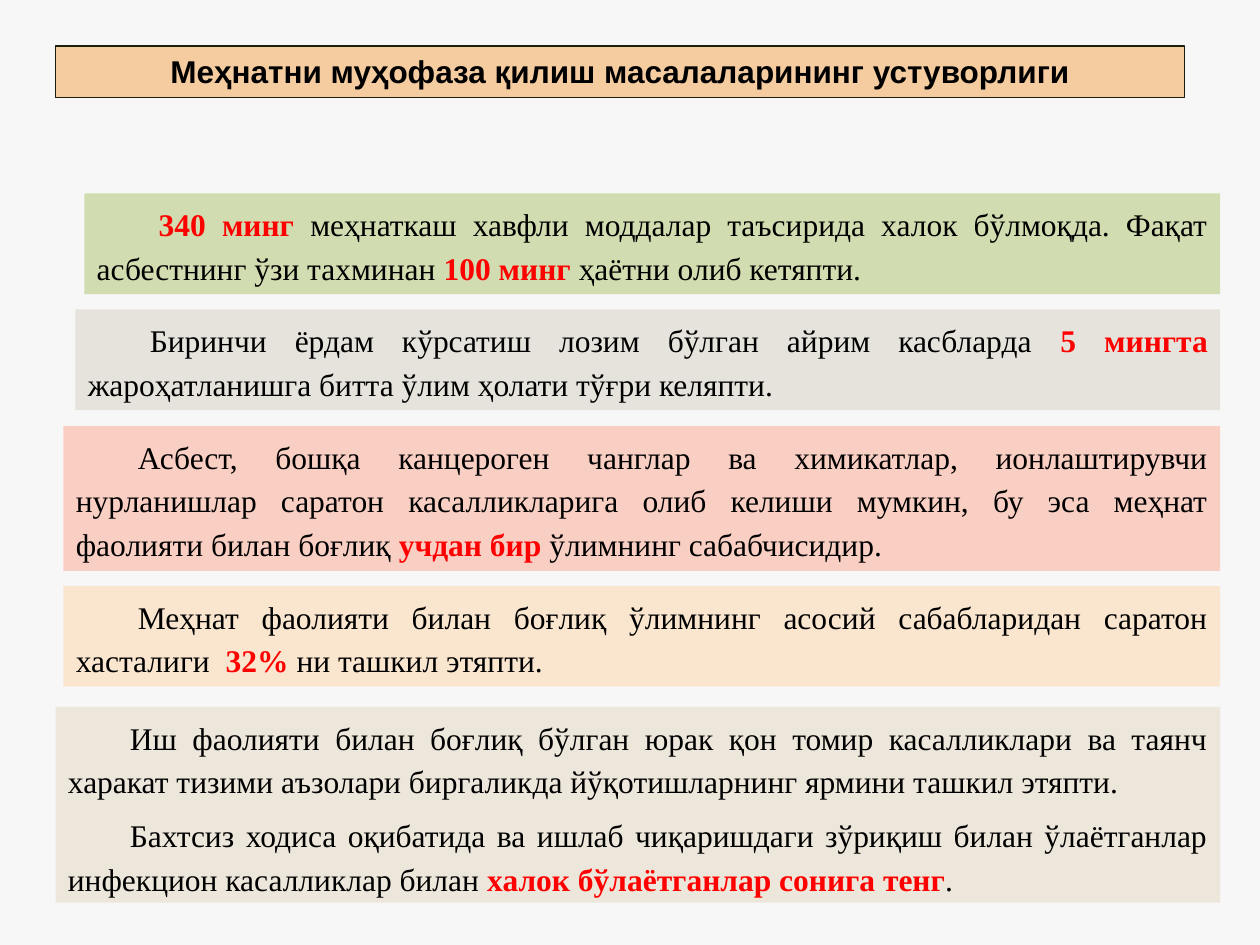
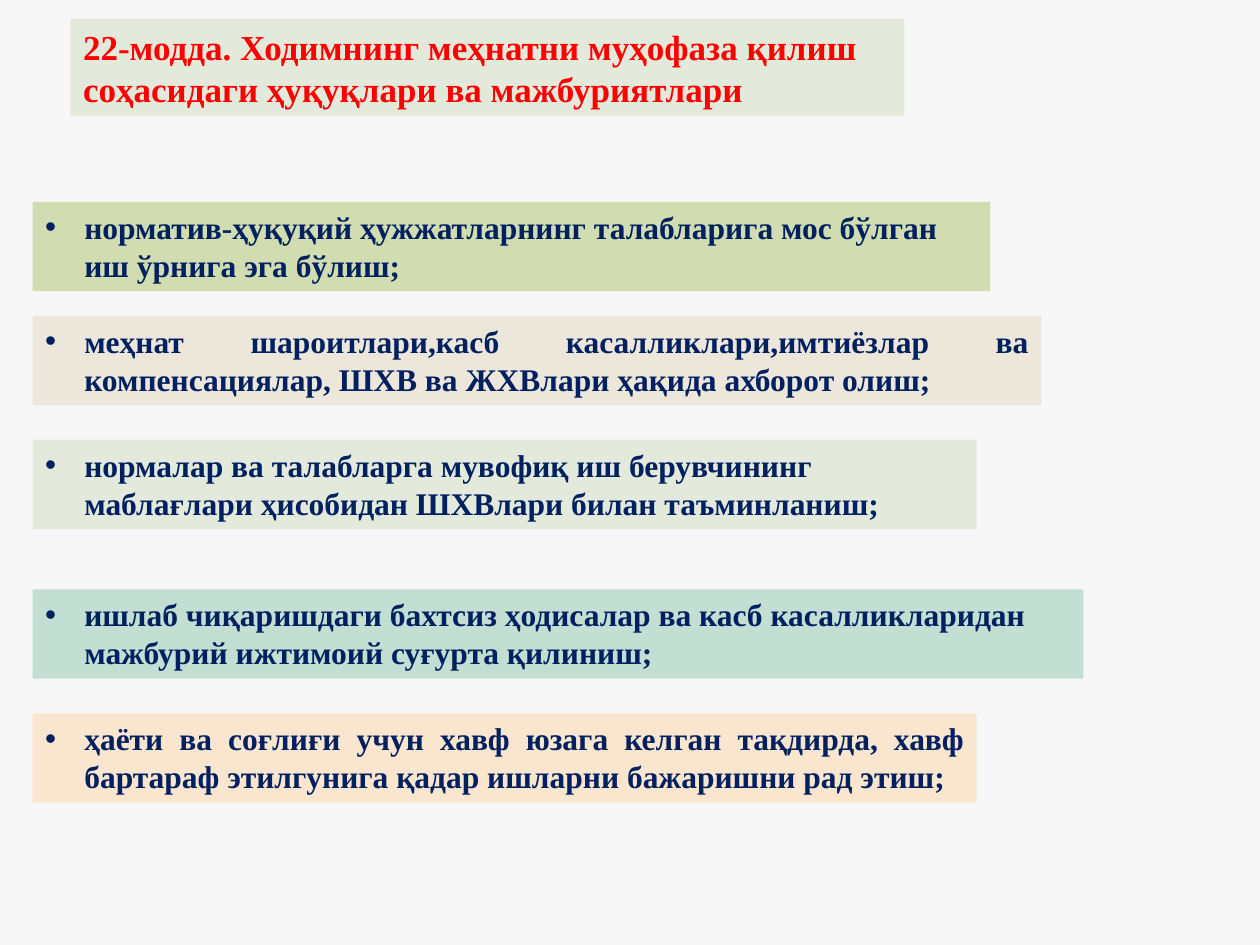
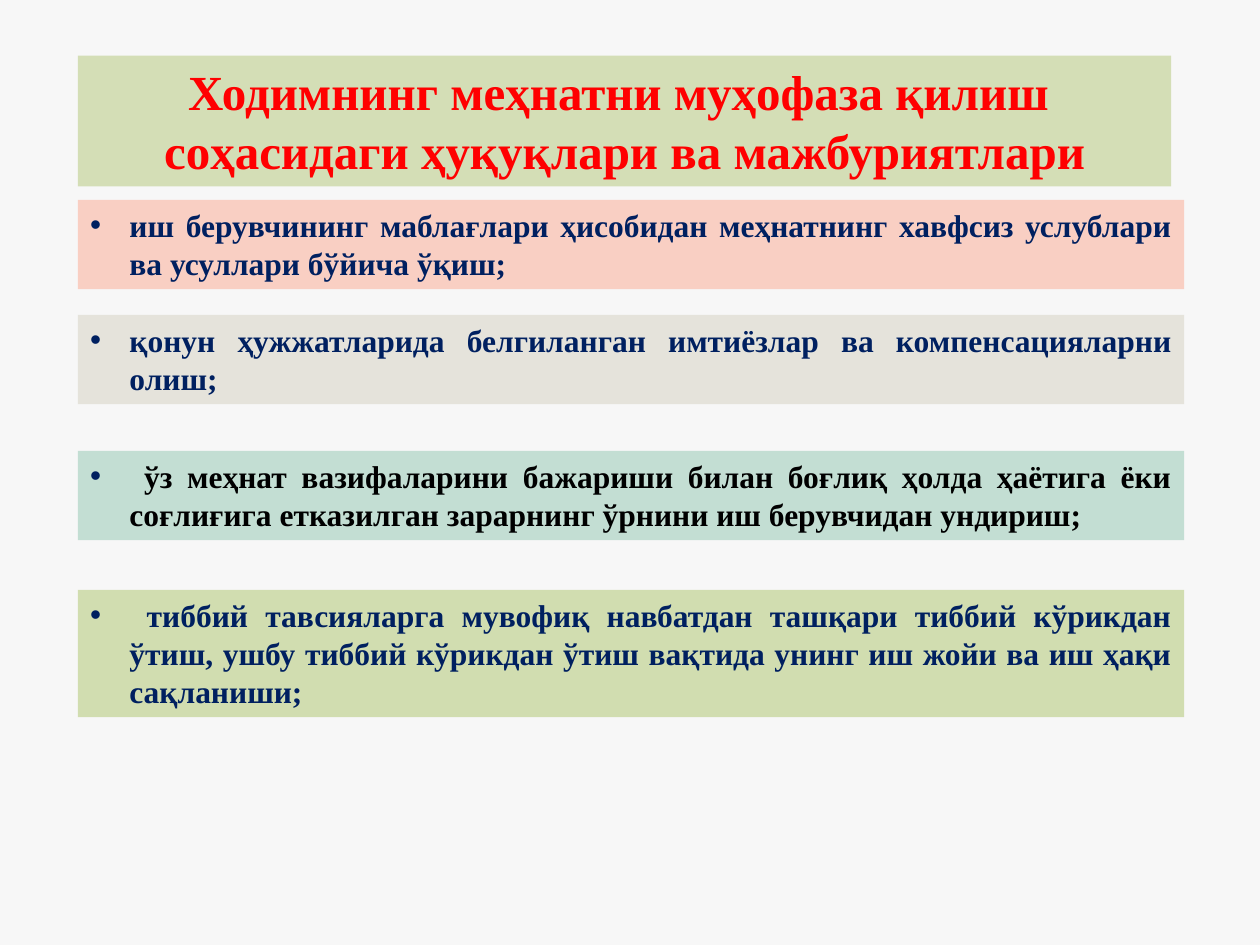
from lxml import etree
from pptx import Presentation
from pptx.dml.color import RGBColor
from pptx.enum.shapes import MSO_SHAPE
from pptx.enum.text import MSO_ANCHOR, MSO_AUTO_SIZE, PP_ALIGN
from pptx.oxml.ns import qn
from pptx.util import Cm, Pt

RECT = MSO_SHAPE.RECTANGLE
TOP = MSO_ANCHOR.TOP
FIXED = MSO_AUTO_SIZE.NONE
LEFT, MID, JUST = PP_ALIGN.LEFT, PP_ALIGN.CENTER, PP_ALIGN.JUSTIFY

# Shared colours and fonts
PAPER, BLACK, RED, NAVY = "F7F7F7", "000000", "FF0000", "002060"
GREEN, STONE, PINK, CREAM = "D1DDB0", "E5E3DB", "F9CFC3", "FAE5CF"
SAND, SAGE, MINT = "EDE6DB", "E3E9DB", "C3DED3"
SERIF, SANS = "Times New Roman", "Arial"


def tint(code):
    return RGBColor.from_string(code)


class Deck:
    def __init__(self):
        self.prs = Presentation()
        self.prs.slide_width, self.prs.slide_height = Cm(25.4), Cm(19.05)
        self.paint(self.prs.slide_master.background, PAPER)
        self.slide = None

    def paint(self, item, code):
        item.fill.solid()
        item.fill.fore_color.rgb = tint(code)

    def style(self, run, size, code, bold, face=SERIF):
        font = run.font
        font.name, font.size, font.bold = face, Pt(size), bold
        font.color.rgb = tint(code)

    def frame(self, shape):
        text = shape.text_frame
        text.word_wrap, text.auto_size = True, FIXED
        text.vertical_anchor = TOP
        return text

    def title(self, text, area, fill, size, code=RED, align=MID, face=SERIF, edge=None):
        """Start a slide with its filled title."""
        self.slide = self.prs.slides.add_slide(self.prs.slide_layouts[5])
        head = self.slide.shapes.title
        head.left, head.top, head.width, head.height = map(Cm, area)
        self.paint(head, fill)
        if edge:
            head.line.color.rgb, head.line.width = tint(edge), Pt(0.75)
        body = self.frame(head)
        body.text = text
        para = body.paragraphs[0]
        para.alignment = align
        for run in para.runs:
            self.style(run, size, code, True, face)

    def band(self, area, fill):
        """Add a plain coloured band and return its text frame."""
        box = self.slide.shapes.add_shape(RECT, *map(Cm, area))
        box.shadow.inherit = False
        box.line.fill.background()
        self.paint(box, fill)
        return self.frame(box)

    def fact(self, area, fill, *texts):
        """Add indented paragraphs; parts between asterisks are bold red."""
        body = self.band(area, fill)
        for at, text in enumerate(texts):
            para = body.add_paragraph() if at else body.paragraphs[0]
            para.alignment, para.line_spacing, para.space_after = JUST, 1.15, Pt(6)
            para._p.get_or_add_pPr().set("indent", str(Cm(1.25)))
            for turn, part in enumerate(text.split("*")):
                if part:
                    run = para.add_run()
                    run.text = part
                    key = turn % 2 == 1
                    self.style(run, 18, RED if key else BLACK, key)

    def point(self, area, fill, text, align=JUST, code=NAVY):
        """Add a bulleted line; a leading space keeps the bullet navy."""
        para = self.band(area, fill).paragraphs[0]
        para.alignment = align
        prop = para._p.get_or_add_pPr()
        prop.set("marL", str(Cm(0.79)))
        prop.set("indent", str(-Cm(0.79)))
        etree.SubElement(prop, qn("a:buFont")).set("typeface", SANS)
        etree.SubElement(prop, qn("a:buChar")).set("char", "•")
        if text.startswith(" "):
            lead = para.add_run()
            lead.text, text = " ", text[1:]
            self.style(lead, 18, NAVY, False)
        run = para.add_run()
        run.text = text
        self.style(run, 18, code, True)


def main():
    deck = Deck()

    # Slide 1: facts, all ending at the same right edge
    deck.title("Меҳнатни муҳофаза қилиш масалаларининг устуворлиги",
               (1.12, 0.93, 22.76, 1.03), "F5CBA0", 18, BLACK, face=SANS, edge="1A1F0D")
    right = 24.6
    facts = [
        (1.7, 3.9, 2.03, GREEN,
         "*340 минг *меҳнаткаш хавфли моддалар таъсирида халок бўлмоқда. "
         "Фақат асбестнинг ўзи тахминан *100 минг *ҳаётни олиб кетяпти."),
        (1.52, 6.24, 2.03, STONE,
         "Биринчи ёрдам кўрсатиш лозим бўлган айрим касбларда *5 мингта *"
         "жароҳатланишга битта ўлим ҳолати тўғри келяпти."),
        (1.28, 8.59, 2.92, PINK,
         "Асбест, бошқа канцероген чанглар ва химикатлар, ионлаштирувчи нурланишлар "
         "саратон касалликларига олиб келиши мумкин, бу эса меҳнат фаолияти билан "
         "боғлиқ *учдан бир *ўлимнинг сабабчисидир."),
        (1.28, 11.81, 2.03, CREAM,
         "Меҳнат фаолияти билан боғлиқ ўлимнинг асосий сабабларидан саратон "
         "хасталиги  *32%* ни ташкил этяпти."),
        (1.12, 14.25, 3.95, SAND,
         "Иш фаолияти билан боғлиқ бўлган юрак қон томир касалликлари ва таянч "
         "харакат тизими аъзолари биргаликда йўқотишларнинг ярмини ташкил этяпти.",
         "Бахтсиз ходиса оқибатида ва ишлаб чиқаришдаги зўриқиш билан ўлаётганлар "
         "инфекцион касалликлар билан *халок бўлаётганлар сонига тенг*."),
    ]
    for left, top, high, fill, *texts in facts:
        deck.fact((left, top, right - left, high), fill, *texts)

    # Slide 2: rights, first part
    deck.title("22-модда. Ходимнинг меҳнатни муҳофаза қилиш \v"
               "соҳасидаги ҳуқуқлари ва мажбуриятлари",
               (1.42, 0.38, 16.81, 1.96), SAGE, 20, align=LEFT)
    rights = [
        (4.07, 19.3, GREEN, LEFT,
         "норматив-ҳуқуқий ҳужжатларнинг талабларига мос бўлган иш ўрнига эга бўлиш;"),
        (6.37, 20.33, SAND, JUST,
         "меҳнат шароитлари,касб касалликлари,имтиёзлар ва компенсациялар, "
         "ШХВ ва ЖХВлари ҳақида ахборот олиш;"),
        (8.87, 19.03, SAGE, LEFT,
         "нормалар ва талабларга мувофиқ иш берувчининг маблағлари ҳисобидан "
         "ШХВлари билан таъминланиш;"),
        (11.88, 21.18, MINT, LEFT,
         "ишлаб чиқаришдаги бахтсиз ҳодисалар ва касб касалликларидан мажбурий "
         "ижтимоий суғурта қилиниш;"),
        (14.38, 19.03, CREAM, JUST,
         "ҳаёти ва соғлиғи учун хавф юзага келган тақдирда, хавф бартараф "
         "этилгунига қадар ишларни бажаришни рад этиш;"),
    ]
    for top, wide, fill, align, text in rights:
        deck.point((0.66, top, wide, 1.8), fill, text, align)

    # Slide 3: rights, second part
    deck.title("Ходимнинг меҳнатни муҳофаза қилиш \v"
               "соҳасидаги ҳуқуқлари ва мажбуриятлари",
               (1.57, 1.12, 22.04, 2.64), "D4DEB6", 28)
    rights = [
        (4.03, 1.8, PINK, NAVY,
         "иш берувчининг маблағлари ҳисобидан меҳнатнинг хавфсиз услублари ва "
         "усуллари бўйича ўқиш;"),
        (6.35, 1.8, STONE, NAVY,
         "қонун ҳужжатларида белгиланган имтиёзлар ва компенсацияларни олиш;"),
        (9.09, 1.8, MINT, BLACK,
         " ўз меҳнат вазифаларини бажариши билан боғлиқ ҳолда ҳаётига ёки соғлиғига "
         "етказилган зарарнинг ўрнини иш берувчидан ундириш;"),
        (11.89, 2.57, GREEN, NAVY,
         " тиббий тавсияларга мувофиқ навбатдан ташқари тиббий кўрикдан ўтиш, ушбу "
         "тиббий кўрикдан ўтиш вақтида унинг иш жойи ва иш ҳақи сақланиши;"),
    ]
    for top, high, fill, code, text in rights:
        deck.point((1.57, top, 22.3, high), fill, text, code=code)

    deck.prs.save("out.pptx")


if __name__ == "__main__":
    main()
